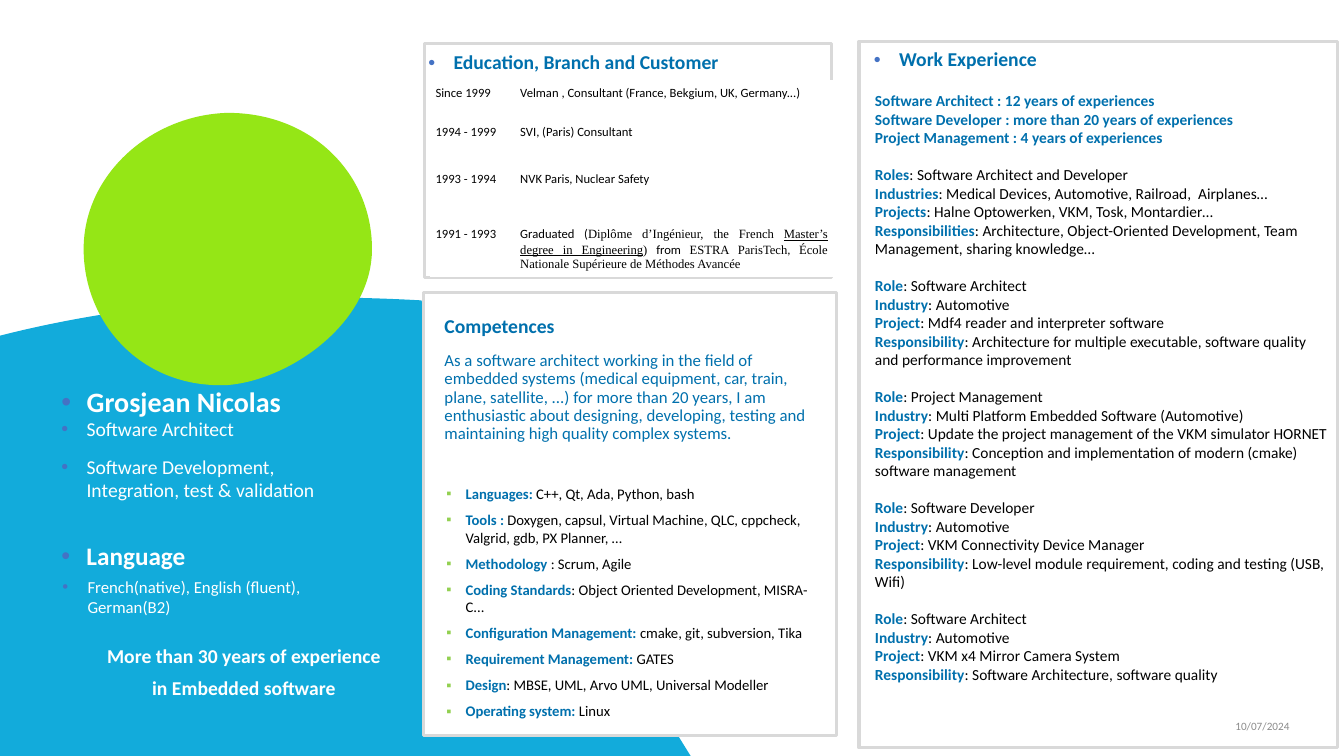
from lxml import etree
from pptx import Presentation
from pptx.dml.color import RGBColor
from pptx.enum.shapes import MSO_SHAPE
from pptx.enum.text import MSO_ANCHOR, MSO_AUTO_SIZE, PP_ALIGN
from pptx.oxml.ns import qn
from pptx.util import Inches, Pt

RECTANGLE = MSO_SHAPE.RECTANGLE
TOP, MIDDLE = MSO_ANCHOR.TOP, MSO_ANCHOR.MIDDLE
NO_AUTOFIT = MSO_AUTO_SIZE.NONE
LEFT, CENTER, RIGHT, JUSTIFY = PP_ALIGN.LEFT, PP_ALIGN.CENTER, PP_ALIGN.RIGHT, PP_ALIGN.JUSTIFY
FONT, SERIF, BULLET_FONT = "Calibri", "Times New Roman", "Arial"
BLUE, WHITE, BLACK, GREY = "0070AD", "FFFFFF", "000000", "8B8B8B"
WAVE_BLUE, LIME, FRAME_GREY = "12ABDB", "95E616", "D9D9D9"
BULLET_BLUE, BULLET_GREEN = "4472C4", "92D050"
ROUND, SQUARE = ("•", BULLET_BLUE, 0.25, 0.25), ("▪", BULLET_GREEN, 0.28, 0.19)
GROUP_GAP = 13.2

# Each curve is two control points and an end point.
WAVE_START = (0, 3.33)
WAVE_CURVES = [((0.98, 3.08), (2.03, 2.96), (3.1, 2.95)),
               ((3.46, 2.95), (3.82, 2.96), (4.18, 2.98)),
               ((4.49, 4.11), (5.57, 5.48), (6.54, 7))]
WAVE_CORNERS = [(6.85, 7.5), (0, 7.5)]
BLOB_START = (0.83, 2.47)
BLOB_CURVES = [((0.83, 1.73), (1.5, 1.14), (2.26, 1.12)),
               ((3.1, 1.12), (3.69, 1.73), (3.69, 2.47)),
               ((3.69, 3.21), (2.87, 3.77), (2.26, 3.82)),
               ((1.41, 3.86), (0.83, 3.21), BLOB_START)]

# A bar separates the bold blue label from the black value.
COMPETENCES = [
    "Languages: |C++, Qt, Ada, Python, bash",
    "Tools : |Doxygen, capsul, Virtual Machine, QLC, cppcheck, Valgrid, gdb, PX Planner, …",
    "Methodology| : Scrum, Agile",
    "Coding Standards|: Object Oriented Development, MISRA-C...",
    "Configuration Management: |cmake, git, subversion, Tika",
    "Requirement Management: |GATES",
    "Design|: MBSE, UML, Arvo UML, Universal Modeller",
    "Operating system: |Linux",
]
EXPERIENCE_SUMMARY = [
    "Software Architect : 12 years of experiences",
    "Software Developer : more than 20 years of experiences",
    "Project Management : 4 years of experiences",
]
OVERVIEW_LABELS = ("Roles", "Industries", "Projects", "Responsibilities")
JOB_LABELS = ("Role", "Industry", "Project", "Responsibility")
OVERVIEW = ("Software Architect and Developer",
            "Medical Devices, Automotive, Railroad,  Airplanes…",
            "Halne Optowerken, VKM, Tosk, Montardier…",
            "Architecture, Object-Oriented Development, Team Management, sharing knowledge…")
JOBS = [
    ("Software Architect", "Automotive", "Mdf4 reader and interpreter software",
     "Architecture for multiple executable, software quality and performance improvement"),
    ("Project Management", "Multi Platform Embedded Software (Automotive)",
     "Update the project management of the VKM simulator HORNET",
     "Conception and implementation of modern (cmake) software management"),
    ("Software Developer", "Automotive", "VKM Connectivity Device Manager",
     "Low-level module requirement, coding and testing (USB, Wifi)"),
    ("Software Architect", "Automotive", "VKM x4 Mirror Camera System",
     "Software Architecture, software quality"),
]
EDUCATION = [
    ("Since 1999", "Velman , Consultant (France, Bekgium, UK, Germany...)"),
    ("1994 - 1999", "SVI, (Paris) Consultant"),
    ("1993 - 1994", "NVK Paris, Nuclear Safety"),
    ("1991 - 1993", "Graduated (|Diplôme d’Ingénieur, the French |Master’s degree in Engineering|) |from "
                    "|ESTRA ParisTech|, |École Nationale Supérieure de Méthodes Avancée"),
]
DEGREE_FONTS = (FONT, SERIF, SERIF, SERIF, FONT, SERIF, FONT, SERIF)
DEGREE_UNDERLINED_RUN = 2


def color(hex_string):
    return RGBColor.from_string(hex_string)


def labelled(labels, values):
    return [f"{label}|: {value}" for label, value in zip(labels, values)]


class ResumeSlide:
    def __init__(self, presentation):
        self.slide = presentation.slides.add_slide(presentation.slide_layouts[5])
        self.shapes = self.slide.shapes

    def outline(self, start, curves, corners, fill):
        """Draw a closed outline of cubic curves followed by straight lines to the corners."""
        points = sum(map(list, curves), []) + corners
        builder = self.shapes.build_freeform(*map(Inches, start), scale=1.0)
        builder.add_line_segments([tuple(map(Inches, point)) for point in points])
        shape = builder.convert_to_shape()
        segments = list(shape.element.iter(qn("a:lnTo")))
        for index in range(0, 3 * len(curves), 3):
            first, second, end = segments[index:index + 3]
            curve = etree.Element(qn("a:cubicBezTo"))
            first.addprevious(curve)
            for segment in (first, second, end):
                curve.append(segment[0])
                segment.getparent().remove(segment)
        shape.shadow.inherit = False
        shape.fill.solid()
        shape.fill.fore_color.rgb = color(fill)
        shape.line.fill.background()

    def frame(self, *box):
        shape = self.shapes.add_shape(RECTANGLE, *map(Inches, box))
        shape.shadow.inherit = False
        shape.fill.solid()
        shape.fill.fore_color.rgb = color(WHITE)
        shape.line.color.rgb = color(FRAME_GREY)
        shape.line.width = Pt(2.25)

    def text(self, box, lines, size, anchor=TOP, **style):
        shape = self.shapes.add_textbox(*map(Inches, box))
        return self.fill_frame(shape.text_frame, lines, size, anchor, **style)

    def title(self, box, text, size, **style):
        """Place the title placeholder in front of the shapes drawn so far."""
        shape = self.shapes.title
        shape.left, shape.top, shape.width, shape.height = map(Inches, box)
        shape.element.getparent().append(shape.element)
        self.fill_frame(shape.text_frame, [text], size, MIDDLE, **style)

    def fill_frame(self, text_frame, lines, size, anchor, **style):
        text_frame.word_wrap = True
        text_frame.auto_size = NO_AUTOFIT
        text_frame.vertical_anchor = anchor
        self.paragraphs(text_frame, lines, size, **style)
        return text_frame

    def paragraphs(self, text_frame, lines, size, ink=BLUE, bold=False, align=LEFT,
                   before=0, after=0, spacing=1.0, bullet=None):
        for index, line in enumerate(lines):
            paragraph = text_frame.add_paragraph() if index else text_frame.paragraphs[0]
            paragraph.alignment = align
            paragraph.line_spacing = spacing
            paragraph.space_before, paragraph.space_after = Pt(before), Pt(after)
            for position, part in enumerate(line.split("|")):
                run = paragraph.add_run()
                run.text = part
                run.font.name = FONT
                run.font.size = Pt(size)
                run.font.bold = bold and position == 0
                run.font.color.rgb = color(BLACK if position else ink)
            if bullet:
                self.bullet(paragraph, *bullet)

    def bullet(self, paragraph, character, ink, margin, hanging):
        properties = paragraph._p.get_or_add_pPr()
        properties.set("marL", str(Inches(margin)))
        properties.set("indent", str(-Inches(hanging)))
        bullet_color = etree.SubElement(properties, qn("a:buClr"))
        etree.SubElement(bullet_color, qn("a:srgbClr"), val=ink)
        etree.SubElement(properties, qn("a:buFont"), typeface=BULLET_FONT)
        etree.SubElement(properties, qn("a:buChar"), char=character)

    def table(self, box, rows, widths, heights):
        table = self.shapes.add_table(len(rows), len(widths), *map(Inches, box)).table
        table.first_row = table.horz_banding = False
        for column, width in zip(table.columns, widths):
            column.width = Inches(width)
        for row, height, texts in zip(table.rows, heights, rows):
            row.height = Inches(height)
            for cell, text in zip(row.cells, texts):
                cell.fill.solid()
                cell.fill.fore_color.rgb = color(WHITE)
                cell.margin_left = cell.margin_right = Inches(0.05)
                cell.margin_top = cell.margin_bottom = Inches(0.05)
                self.paragraphs(cell.text_frame, [text], 9, BLACK, after=1)
        return table


def main():
    presentation = Presentation()
    presentation.slide_width, presentation.slide_height = Inches(13.33), Inches(7.5)
    resume = ResumeSlide(presentation)
    heading = dict(anchor=MIDDLE, bold=True, before=10, spacing=0.9, bullet=ROUND)
    white_bullets = dict(ink=WHITE, before=10, bullet=ROUND)

    resume.outline(WAVE_START, WAVE_CURVES, WAVE_CORNERS, WAVE_BLUE)
    resume.outline(BLOB_START, BLOB_CURVES, [], LIME)
    resume.frame(4.2, 2.9, 4.1, 4.4)
    resume.frame(8.52, 0.41, 4.75, 7.01)
    resume.frame(4.21, 0.43, 4.04, 2.32)

    resume.title((0.51, 3.78, 3.3, 0.45), "Grosjean Nicolas", 20, bold=True, spacing=0.9, **white_bullets)
    resume.text((0.51, 4.09, 3.19, 0.51),
                ["Software Architect", "Software Development, Integration, test & validation"],
                14, **white_bullets)
    resume.text((0.51, 5.36, 3.3, 0.33), ["Language"], 18, ink=WHITE, **heading)
    resume.text((0.52, 5.67, 3.3, 0.34), ["French(native), English (fluent), German(B2)"], 12, **white_bullets)
    resume.text((0.47, 6.32, 3.9, 0.68), ["More than 30 years of experience", "in Embedded software"],
                14, MIDDLE, ink=WHITE, bold=True, align=CENTER, before=6)

    resume.text((4.15, 0.5, 4.1, 0.26), ["Education, Branch and Customer"], 14, **heading)
    table = resume.table((4.27, 0.8, 3.99, 1.93), EDUCATION, (0.84, 3.15), (0.39, 0.46, 0.55, 0.53))
    degree = table.cell(3, 1).text_frame.paragraphs[0]
    degree.alignment = JUSTIFY
    for run, font_name in zip(degree.runs, DEGREE_FONTS):
        run.font.name = font_name
    degree.runs[DEGREE_UNDERLINED_RUN].font.underline = True

    profile = resume.text((4.31, 3.59, 4.01, 0.36), [
        "Competences",
        "As a software architect working in the field of embedded systems (medical equipment, car, train, "
        "plane, satellite, ...) for more than 20 years, I am enthusiastic about designing, developing, "
        "testing and maintaining high quality complex systems."], 12, MIDDLE, before=10, spacing=0.9)
    profile_heading = profile.paragraphs[0].runs[0].font
    profile_heading.size, profile_heading.bold = Pt(14), True
    resume.text((4.24, 4.76, 4.02, 2.04), COMPETENCES, 10.5, bold=True, before=6, bullet=SQUARE)

    resume.text((8.57, 0.43, 4.17, 0.34), ["Work Experience"], 14, **heading)
    groups = [EXPERIENCE_SUMMARY, labelled(OVERVIEW_LABELS, OVERVIEW)]
    groups += [labelled(JOB_LABELS, job) for job in JOBS]
    work = resume.text((8.58, 0.86, 4.74, 6.14), sum(groups, []), 11, bold=True)
    first_line = 0
    for group in groups[:-1]:
        first_line += len(group)
        work.paragraphs[first_line].space_before = Pt(GROUP_GAP)
    resume.text((9.89, 7.09, 3, 0.23), ["10/07/2024"], 8, MIDDLE, ink=GREY, align=RIGHT)

    presentation.save("out.pptx")


if __name__ == "__main__":
    main()
